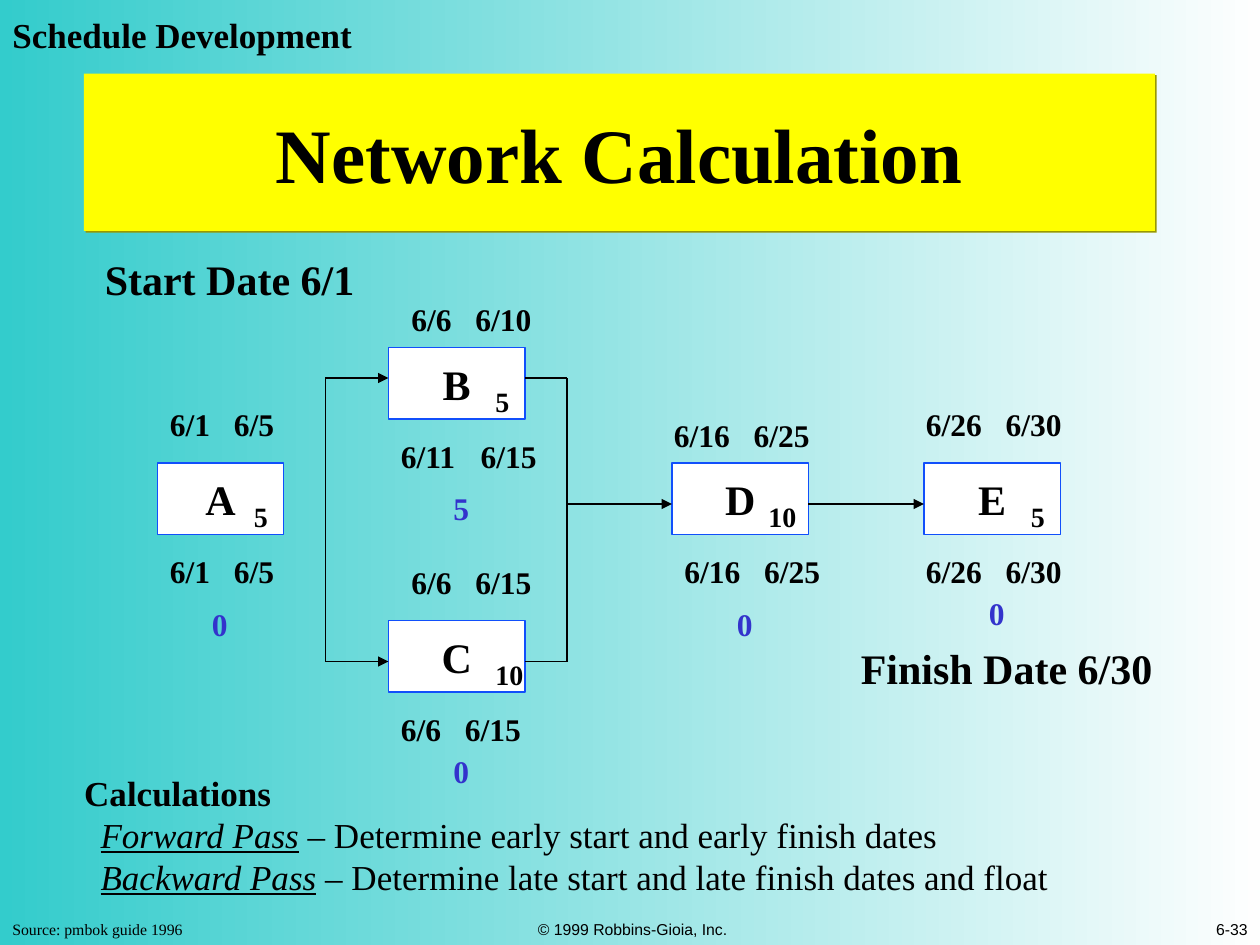
"""Build the Network Calculation slide on a grid of 120 columns by 90 rows."""
from lxml.etree import SubElement
from pptx import Presentation
from pptx.dml.color import RGBColor
from pptx.enum.shapes import MSO_CONNECTOR as CONN, MSO_SHAPE as SHAPE
from pptx.enum.text import MSO_ANCHOR as ANCHOR, PP_ALIGN as ALIGN
from pptx.oxml.ns import qn
from pptx.util import Inches, Pt

COLORS = {"black": "000000", "white": "FFFFFF", "paper": "FEFEFE", "teal": "33CCCC",
          "yellow": "FFFF00", "shade": "989800", "border": "114FFB", "float": "3333CC"}
RGB = {name: RGBColor.from_string(value) for name, value in COLORS.items()}
SERIF = "Times New Roman"

prs = Presentation()
prs.slide_width, prs.slide_height = Inches(10), Inches(7.5)
U = prs.slide_width // 120
s = prs.slides.add_slide(prs.slide_layouts[5])


def style(tf, size, color="black", bold=True, font=SERIF, align=ALIGN.LEFT):
    for p in tf.paragraphs:
        p.alignment = align
        for r in p.runs:
            r.font.size, r.font.bold, r.font.name = Pt(size), bold, font
            r.font.color.rgb = RGB[color]


def label(text, col, row, width, height, size, **look):
    sp = s.shapes.add_textbox(*(int(n * U) for n in (col, row, width, height)))
    sp.text_frame.text = text
    sp.text_frame.word_wrap = True
    style(sp.text_frame, size, **look)
    return sp.text_frame


fill = s.background.fill
fill.gradient()
fill.gradient_angle = 180
for stop, name, position in zip(fill.gradient_stops, ("paper", "teal"), (0, 1)):
    stop.color.rgb, stop.position = RGB[name], position

label("Source: pmbok guide 1996", 0, 87, 19.5, 3, 9, bold=False)
for text, col, align in [("© 1999 Robbins-Gioia, Inc.", 40.75, ALIGN.CENTER),
                         ("6-33", 81, ALIGN.RIGHT)]:
    tf = label(text, col, 84, 39, 6, 9, bold=False, font="Arial", align=align)
    tf.vertical_anchor = ANCHOR.BOTTOM

title = s.shapes.title
title.left, title.top, title.width, title.height = 8 * U, 7 * U, 102 * U, 15 * U
title.fill.solid()
title.fill.fore_color.rgb = RGB["yellow"]
title.text_frame.text = "Network Calculation"
title.text_frame.vertical_anchor = ANCHOR.MIDDLE
style(title.text_frame, 44, align=ALIGN.CENTER)
effects = SubElement(title._element.spPr, qn("a:effectLst"))
shadow = SubElement(effects, qn("a:outerShdw"), dist=str(Pt(1.4)), dir="2700000",
                    algn="ctr", rotWithShape="0")
SubElement(shadow, qn("a:srgbClr"), val=COLORS["shade"])

tf = label("Calculations", 6.84, 72.84, 96, 17.2, 20)
for term, meaning in [("Forward Pass", "early start and early finish dates"),
                      ("Backward Pass", "late start and late finish dates and float")]:
    p = tf.add_paragraph()
    p.level = 1
    p._p.get_or_add_pPr().set("marL", str(Inches(0.13)))
    p._p.get_or_add_pPr().set("indent", "0")
    for text in (term, f" – Determine {meaning}"):
        p.add_run().text = text
style(tf, 20, bold=False)
tf.paragraphs[0].runs[0].font.bold = True
for p in tf.paragraphs[1:]:
    p.runs[0].font.italic = p.runs[0].font.underline = True

nodes = [("A", 15, 44, 12, "5", 8), ("B", 37, 33, 13, "5", 9), ("C", 37, 59, 13, "10", 9),
         ("D", 64, 44, 13, "10", 8), ("E", 88, 44, 13, "5", 9)]
for name, col, row, width, days, shift in nodes:
    sp = s.shapes.add_shape(SHAPE.RECTANGLE, col * U, int((row + 0.1) * U), width * U, int(6.8 * U))
    sp.shadow.inherit = False
    sp.fill.solid()
    sp.fill.fore_color.rgb = RGB["white"]
    sp.line.color.rgb, sp.line.width = RGB["border"], Pt(1)
    sp.text_frame.text = name
    sp.text_frame.word_wrap, sp.text_frame.vertical_anchor = False, ANCHOR.MIDDLE
    style(sp.text_frame, 24, align=ALIGN.CENTER)
    label(days, col + shift, row + 3, 2.7 + 1.5 * len(days), 4.4, 16)

links = [(77, 48, 88, 48, True), (31, 36, 31, 61, False), (31, 36, 37, 36, True),
         (31, 61, 31, 63, False), (31, 63, 37, 63, True), (50, 36, 54, 36, False),
         (54, 36, 54, 63, False), (50, 63, 54, 63, False), (54, 48, 64, 48, True)]
for x1, y1, x2, y2, arrow in links:
    link = s.shapes.add_connector(CONN.STRAIGHT, x1 * U, y1 * U, x2 * U, y2 * U)
    link.line.color.rgb = RGB["black"]
    link.line.width = Pt(1 if x1 == 77 else 0.75)
    if arrow:
        SubElement(link.line._get_or_add_ln(), qn("a:tailEnd"), type="triangle")
    SubElement(link._element.spPr, qn("a:effectLst"))

dates = [("6/1", "6/5", 15, 38), ("6/1", "6/5", 15, 52), ("6/6", "6/10", 38, 28),
         ("6/11", "6/15", 37, 41), ("6/6", "6/15", 38, 53), ("6/6", "6/15", 37, 67),
         ("6/16", "6/25", 63, 39), ("6/16", "6/25", 64, 52),
         ("6/26", "6/30", 87, 38), ("6/26", "6/30", 87, 52)]
for start, finish, col, row in dates:
    tab = 1.5 * len(start) + 1.6
    tf = label(f"{start}\t{finish}", col, row, tab + 1.5 * len(finish) + 2.2, 4.8, 18)
    tabs = SubElement(tf.paragraphs[0]._p.get_or_add_pPr(), qn("a:tabLst"))
    SubElement(tabs, qn("a:tab"), pos=str(int(tab * U)), algn="l")

for days, col, row in [("0", 19, 57), ("5", 42, 46), ("0", 42, 71), ("0", 69, 57), ("0", 93, 56)]:
    label(days, col, row, 4, 4.8, 18, color="float")

label("Start Date 6/1", 8.8, 23.6, 27, 6, 24)
label("Finish Date 6/30", 80.8, 60.6, 31.5, 6, 24)
label("Schedule Development", 0, 0.65, 36, 5.3, 20)

prs.save("out.pptx")
